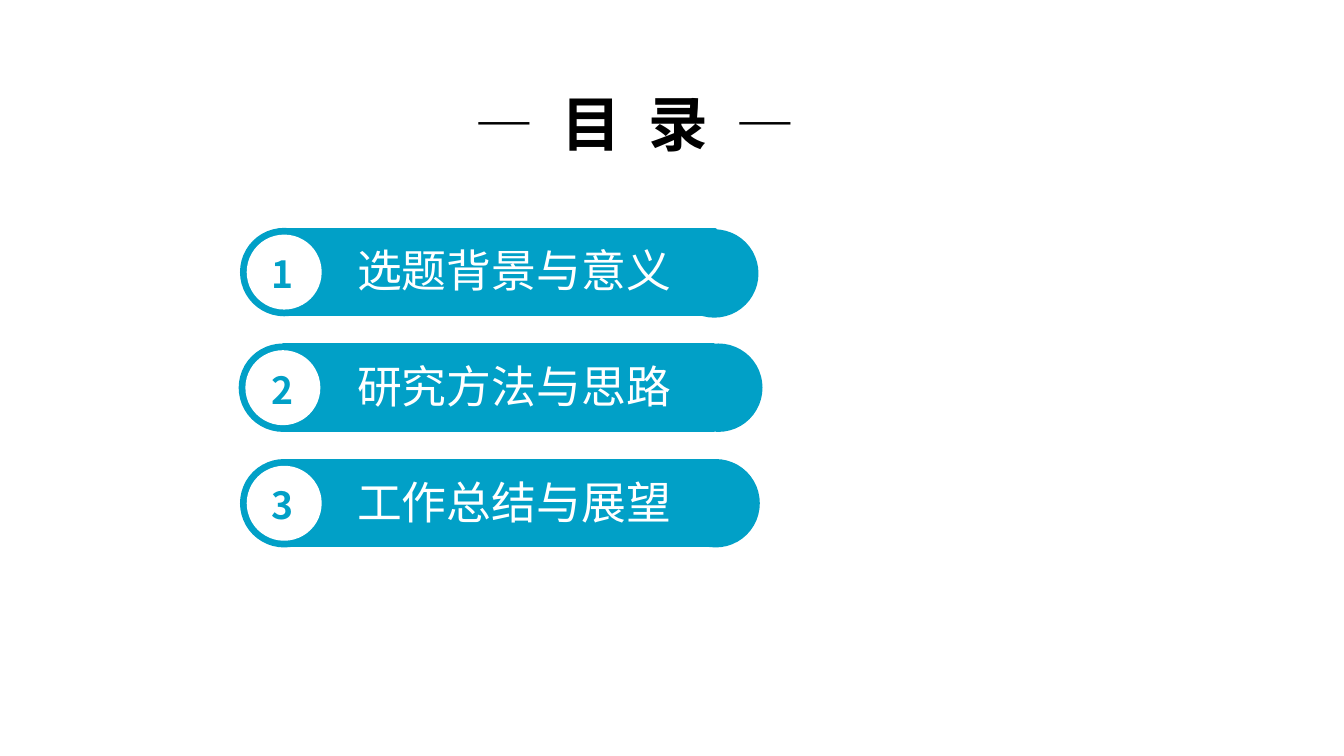
import pptx
import pptx.util
import pptx.dml.color
import pptx.enum.shapes
import pptx.enum.text
import pptx.oxml
import pptx.oxml.ns

Inches = pptx.util.Inches
KIND = pptx.enum.shapes.MSO_SHAPE
FONT = "Noto Sans CJK SC"
BLUE, WHITE, BLACK = "01A0C7", "FFFFFF", "000000"
SIZE = 0.63  # height of a bar and its round ends
DISC = 0.53
TOP, PITCH = 1.71, 0.86

# wording, left, then the right cap's offset from the bar's corner
ITEMS = [
    ("选题背景与意义", 1.8, 3.2, 0.01),
    ("研究方法与思路", 1.79, 3.24, 0),
    ("工作总结与展望", 1.8, 3.21, 0),
]


def color(code):
    return pptx.dml.color.RGBColor.from_string(code)


def add_shape(shapes, kind, box, tint):
    shape = shapes.add_shape(kind, *map(Inches, box))
    shape.shadow.inherit = False
    shape.fill.solid()
    shape.fill.fore_color.rgb = color(tint)
    shape.line.color.rgb = color(tint)
    shape.line.width = pptx.util.Pt(2)


def add_text(shapes, box, runs, size, tint, wrap=False):
    """Add one line made of (text, bold, extra spacing in points) runs."""
    frame = shapes.add_textbox(*map(Inches, box)).text_frame
    frame.word_wrap = wrap
    frame.auto_size = pptx.enum.text.MSO_AUTO_SIZE.SHAPE_TO_FIT_TEXT
    for text, bold, gap in runs:
        run = frame.paragraphs[0].add_run()
        run.text = text
        style = {"name": FONT, "size": pptx.util.Pt(size), "bold": bold}
        for key, value in style.items():
            setattr(run.font, key, value)
        run.font.color.rgb = color(tint)
        props = run._r.get_or_add_rPr()
        east = pptx.oxml.parse_xml(
            f'<a:ea {pptx.oxml.ns.nsdecls("a")} typeface="{FONT}"/>')
        props.append(east)
        if gap:
            props.set("spc", str(int(gap * 100)))


def add_title(slide, box):
    space = (" ", True, 7.4)
    runs = [("—", False, 0), (" ", False, 7.4), ("目", True, 0), space,
            ("录", True, 0), space, ("—", False, 0)]
    add_text(slide.shapes, box, runs, 32, BLACK)


def add_item(slide, left, top, number, label, cap_x, cap_y):
    """Add a numbered bar with round ends."""
    shapes = slide.shapes.add_group_shape().shapes
    inset = (SIZE - DISC) / 2
    add_shape(shapes, KIND.RECTANGLE, (left + 0.32, top, 3.2, SIZE), BLUE)
    for x, y, size, tint in [
        (0, 0, SIZE, BLUE),
        (cap_x, cap_y, SIZE, BLUE),
        (inset, inset, DISC, WHITE),
    ]:
        add_shape(shapes, KIND.OVAL, (left + x, top + y, size, size), tint)
    add_text(shapes, (1.92, top + 0.11, 0.38, 0.44),
             [(str(number), True, 0)], 20, BLUE)
    add_text(shapes, (2.56, top + 0.05, 2.84, 0.5),
             [(label, False, 0)], 24, WHITE, wrap=True)


def main():
    deck = pptx.Presentation()
    deck.slide_width = Inches(10)
    deck.slide_height = deck.slide_width * 9 // 16
    slide = deck.slides.add_slide(deck.slide_layouts[6])
    add_title(slide, (3.43, 0.6, 2.87, 0.64))
    for index, (label, left, cap_x, cap_y) in enumerate(ITEMS):
        top = TOP + index * PITCH
        add_item(slide, left, top, index + 1, label, cap_x, cap_y)
    deck.save("out.pptx")


if __name__ == "__main__":
    main()
